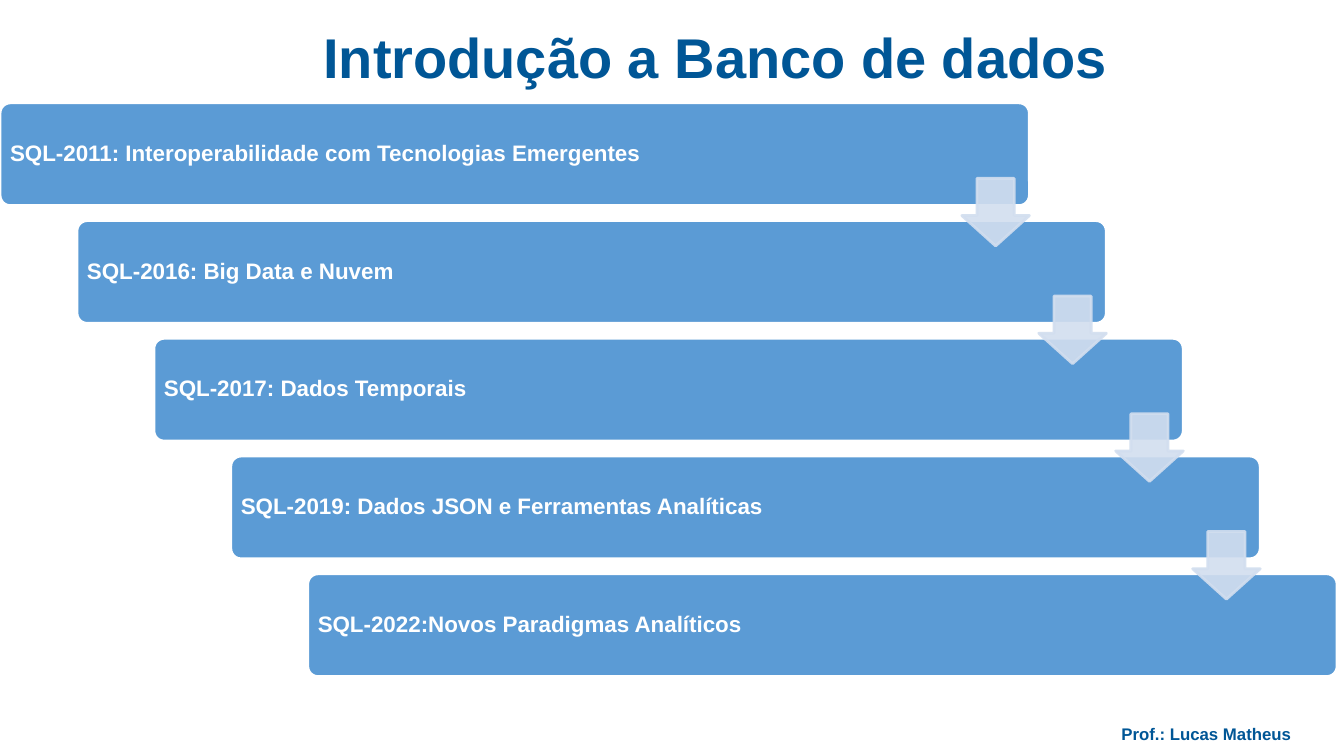
"""Build the slide that shows the SQL standards as a descending staircase."""
from pptx import Presentation, util as u
from pptx.dml.color import RGBColor
from pptx.enum import shapes, text
from pptx.oxml import ns
from lxml import etree

COLORS = {"heading": "005696", "step": "5B9BD5", "arrow": "D2DEEF", "white": "FFFFFF"}
FONT = "Arial"
COLUMN, ROW = 0.763, 1.168
STAIR_TOP = 1.02
STEP_WIDTH, STEP_HEIGHT = 10.21, 1.02
ARROW_LEFT, ARROW_TOP, ARROW_SIZE = 9.54, 1.77, 0.67
STANDARDS = [
    "SQL-2011: Interoperabilidade com Tecnologias Emergentes",
    "SQL-2016: Big Data e Nuvem",
    "SQL-2017: Dados Temporais",
    "SQL-2019: Dados JSON e Ferramentas Analíticas",
    "SQL-2022:Novos Paradigmas Analíticos",
]


def write(frame, wording, size, color, align):
    """Put one bold run into a text frame and return its paragraph."""
    frame.word_wrap = True
    line = frame.paragraphs[0]
    line.alignment = align
    run = line.add_run()
    run.text = wording
    run.font.name, run.font.size, run.font.bold = FONT, u.Pt(size), True
    run.font.color.rgb = RGBColor.from_string(COLORS[color])
    return line


def add_label(slide, box, wording, size, align):
    """Add a heading-coloured text box and return its paragraph."""
    label = slide.shapes.add_textbox(*map(u.Inches, box))
    return write(label.text_frame, wording, size, "heading", align)


def add_block(stair, preset, box, adjustments, fill, line):
    """Add a flat preset shape with a two-point outline."""
    block = stair.shapes.add_shape(preset, *map(u.Inches, box))
    block.shadow.inherit = False
    for index, value in enumerate(adjustments):
        block.adjustments[index] = value
    block.fill.solid()
    block.fill.fore_color.rgb = RGBColor.from_string(COLORS[fill])
    block.line.color.rgb = RGBColor.from_string(COLORS[line])
    block.line.width = u.Pt(2)
    return block


def add_step(stair, level, wording):
    """Add the bar of one standard, one column and row further per level."""
    box = (level * COLUMN, STAIR_TOP + level * ROW, STEP_WIDTH, STEP_HEIGHT)
    step = add_block(stair, shapes.MSO_SHAPE.ROUNDED_RECTANGLE, box, [0.1], "step", "white")
    frame = step.text_frame
    frame.vertical_anchor = text.MSO_ANCHOR.MIDDLE
    frame.margin_left = u.Inches(0.07)
    write(frame, wording, 16, "white", text.PP_ALIGN.LEFT).line_spacing = 0.9


def add_arrow(stair, level):
    """Add the translucent arrow that leads from one step to the next."""
    box = (ARROW_LEFT + level * COLUMN, ARROW_TOP + level * ROW, ARROW_SIZE, ARROW_SIZE)
    arrow = add_block(stair, shapes.MSO_SHAPE.DOWN_ARROW, box, [0.55, 0.45], "arrow", "arrow")
    for color in arrow.element.spPr.iter(ns.qn("a:srgbClr")):
        etree.SubElement(color, ns.qn("a:alpha"), val="90000")


def main():
    """Compose the slide and save it."""
    deck = Presentation()
    deck.slide_width, deck.slide_height = u.Inches(13.33), u.Inches(7.5)
    slide = deck.slides.add_slide(deck.slide_layouts[6])
    author = add_label(slide, (10.81, 7.13, 2.31, 0.25), "Prof.: Lucas Matheus", 12,
                       text.PP_ALIGN.CENTER)
    author.space_before = u.Pt(8)
    add_label(slide, (3.11, 0.17, 8.13, 1.52), "Introdução a Banco de dados", 40,
              text.PP_ALIGN.LEFT)
    stair = slide.shapes.add_group_shape()
    for level, wording in enumerate(STANDARDS):
        add_step(stair, level, wording)
    for level in range(len(STANDARDS) - 1):
        add_arrow(stair, level)
    deck.save("out.pptx")


if __name__ == "__main__":
    main()
